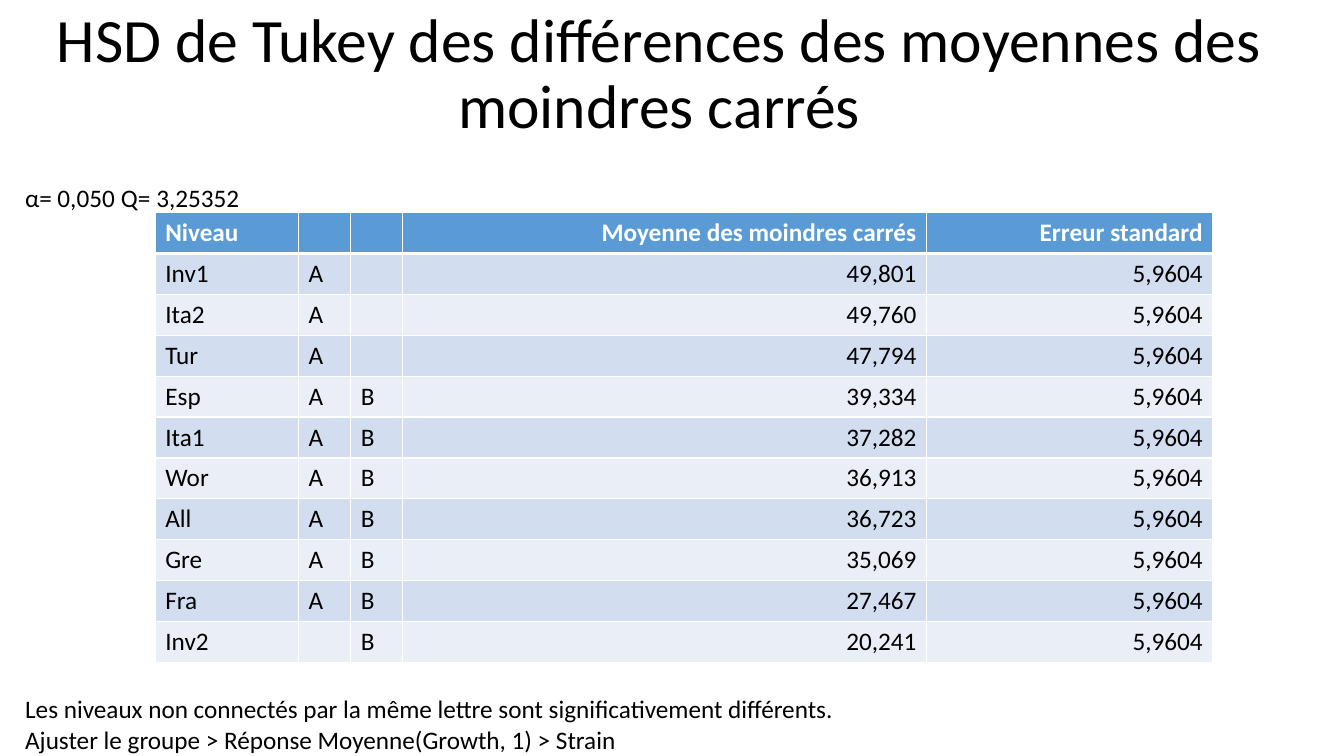
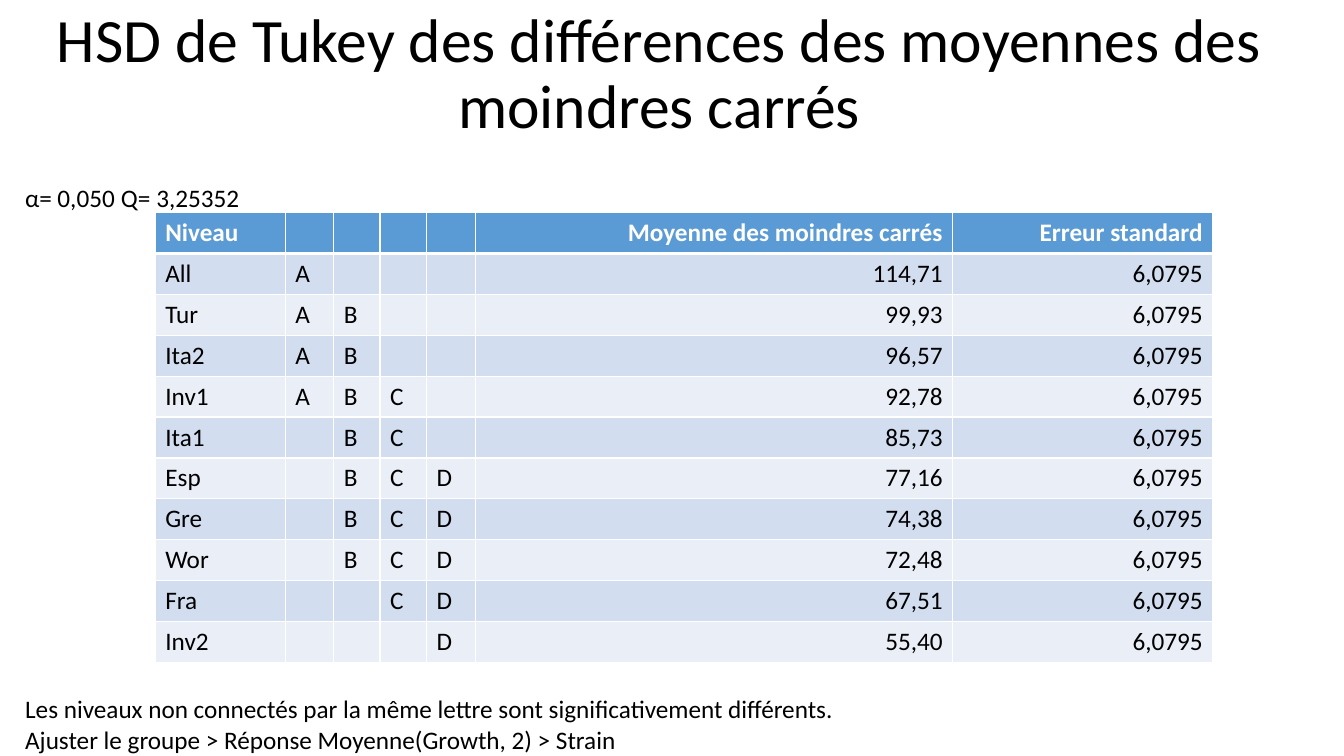
from lxml.etree import SubElement
from pptx import Presentation
from pptx.dml.color import RGBColor
from pptx.enum.text import MSO_ANCHOR, MSO_AUTO_SIZE, PP_ALIGN
from pptx.oxml.ns import qn
from pptx.util import Inches, Pt

FONT = "Calibri"
BLACK, WHITE, HEADER = "000000", "FFFFFF", "5B9BD5"
BANDS = ("D2DEEF", "EAEFF7")
TITLE = "HSD de Tukey des différences des moyennes des moindres carrés"
LABELS = (
    (0.25, 0.31, "α="),
    (0.57, 0.62, "0,050"),
    (1.2, 0.34, "Q="),
    (1.55, 0.95, "3,25352"),
)
LEGEND = "Les niveaux non connectés par la même lettre sont significativement différents."
TABLE_LEFT, TABLE_TOP, ROW_HEIGHT = 1.54, 2.11, 0.4

TESTS = (
    {
        "growth": 1,
        "letters": "AB",
        "widths": (1.42, 0.52, 0.51, 5.2, 2.84),
        "error": "5,9604",
        "levels": (
            ("Inv1", "A", "49,801"),
            ("Ita2", "A", "49,760"),
            ("Tur", "A", "47,794"),
            ("Esp", "AB", "39,334"),
            ("Ita1", "AB", "37,282"),
            ("Wor", "AB", "36,913"),
            ("All", "AB", "36,723"),
            ("Gre", "AB", "35,069"),
            ("Fra", "AB", "27,467"),
            ("Inv2", "B", "20,241"),
        ),
    },
    {
        "growth": 2,
        "letters": "ABCD",
        "widths": (1.29, 0.48, 0.46, 0.46, 0.49, 4.73, 2.58),
        "error": "6,0795",
        "levels": (
            ("All", "A", "114,71"),
            ("Tur", "AB", "99,93"),
            ("Ita2", "AB", "96,57"),
            ("Inv1", "ABC", "92,78"),
            ("Ita1", "BC", "85,73"),
            ("Esp", "BCD", "77,16"),
            ("Gre", "BCD", "74,38"),
            ("Wor", "BCD", "72,48"),
            ("Fra", "CD", "67,51"),
            ("Inv2", "D", "55,40"),
        ),
    },
)


def rgb(value):
    return RGBColor.from_string(value)


def write(tf, text, size=18, color=BLACK, bold=False, align=PP_ALIGN.LEFT, spacing=None):
    p = tf.paragraphs[0]
    p.alignment = align
    p.line_spacing = spacing
    r = p.add_run()
    r.text = text
    r.font.name = FONT
    r.font.size = Pt(size)
    r.font.bold = bold
    r.font.color.rgb = rgb(color)


def add_title(s):
    sp = s.shapes.title
    sp.left, sp.top, sp.width, sp.height = (Inches(v) for v in (0, 0, 13.08, 1.5))
    tf = sp.text_frame
    tf.word_wrap = True
    tf.auto_size = MSO_AUTO_SIZE.NONE
    tf.vertical_anchor = MSO_ANCHOR.MIDDLE
    write(tf, TITLE, size=44, align=PP_ALIGN.CENTER, spacing=0.9)


def add_label(s, left, top, width, text):
    sp = s.shapes.add_textbox(Inches(left), Inches(top), Inches(width), Inches(0.31))
    tf = sp.text_frame
    tf.margin_left = tf.margin_top = tf.margin_right = tf.margin_bottom = 0
    tf.word_wrap = True
    tf.auto_size = MSO_AUTO_SIZE.NONE
    write(tf, text)


def set_borders(cell, top=1, bottom=1):
    tcPr = cell._tc.get_or_add_tcPr()
    for side, width in (("L", 1), ("R", 1), ("T", top), ("B", bottom)):
        ln = SubElement(tcPr, qn(f"a:ln{side}"), w=str(Pt(width)))
        fill = SubElement(ln, qn("a:solidFill"))
        SubElement(fill, qn("a:srgbClr"), val=WHITE)


def table_rows(test):
    letters = test["letters"]
    yield ["Niveau", *[""] * len(letters), "Moyenne des moindres carrés", "Erreur standard"]
    for level, groups, mean in test["levels"]:
        marks = [c if c in groups else "" for c in letters]
        yield [level, *marks, mean, test["error"]]


def add_groups_table(s, test):
    rows, widths = list(table_rows(test)), test["widths"]
    table = s.shapes.add_table(
        len(rows), len(widths), Inches(TABLE_LEFT), Inches(TABLE_TOP),
        Inches(sum(widths)), Inches(ROW_HEIGHT * len(rows)),
    ).table
    for column, width in zip(table.columns, widths):
        column.width = Inches(width)
    for i, row in enumerate(rows):
        header = i == 0
        for j, text in enumerate(row):
            cell = table.cell(i, j)
            set_borders(cell, top=3 if i == 1 else 1, bottom=3 if header else 1)
            cell.fill.solid()
            cell.fill.fore_color.rgb = rgb(HEADER if header else BANDS[(i - 1) % 2])
            if text:
                numeric = j >= len(widths) - 2
                write(cell.text_frame, text, bold=header,
                      color=WHITE if header else BLACK,
                      align=PP_ALIGN.RIGHT if numeric else PP_ALIGN.LEFT)


def add_test_slide(prs, test):
    s = prs.slides.add_slide(prs.slide_layouts[5])
    add_title(s)
    for left, width, text in LABELS:
        add_label(s, left, 1.81, width, text)
    add_groups_table(s, test)
    add_label(s, 0.25, 6.88, 8.3, LEGEND)
    source = f"Ajuster le groupe > Réponse Moyenne(Growth, {test['growth']}) > Strain"
    add_label(s, 0.25, 7.19, 6.2, source)


def main():
    prs = Presentation()
    prs.slide_width, prs.slide_height = Inches(13.33), Inches(7.5)
    for test in TESTS:
        add_test_slide(prs, test)
    prs.save("out.pptx")


if __name__ == "__main__":
    main()
